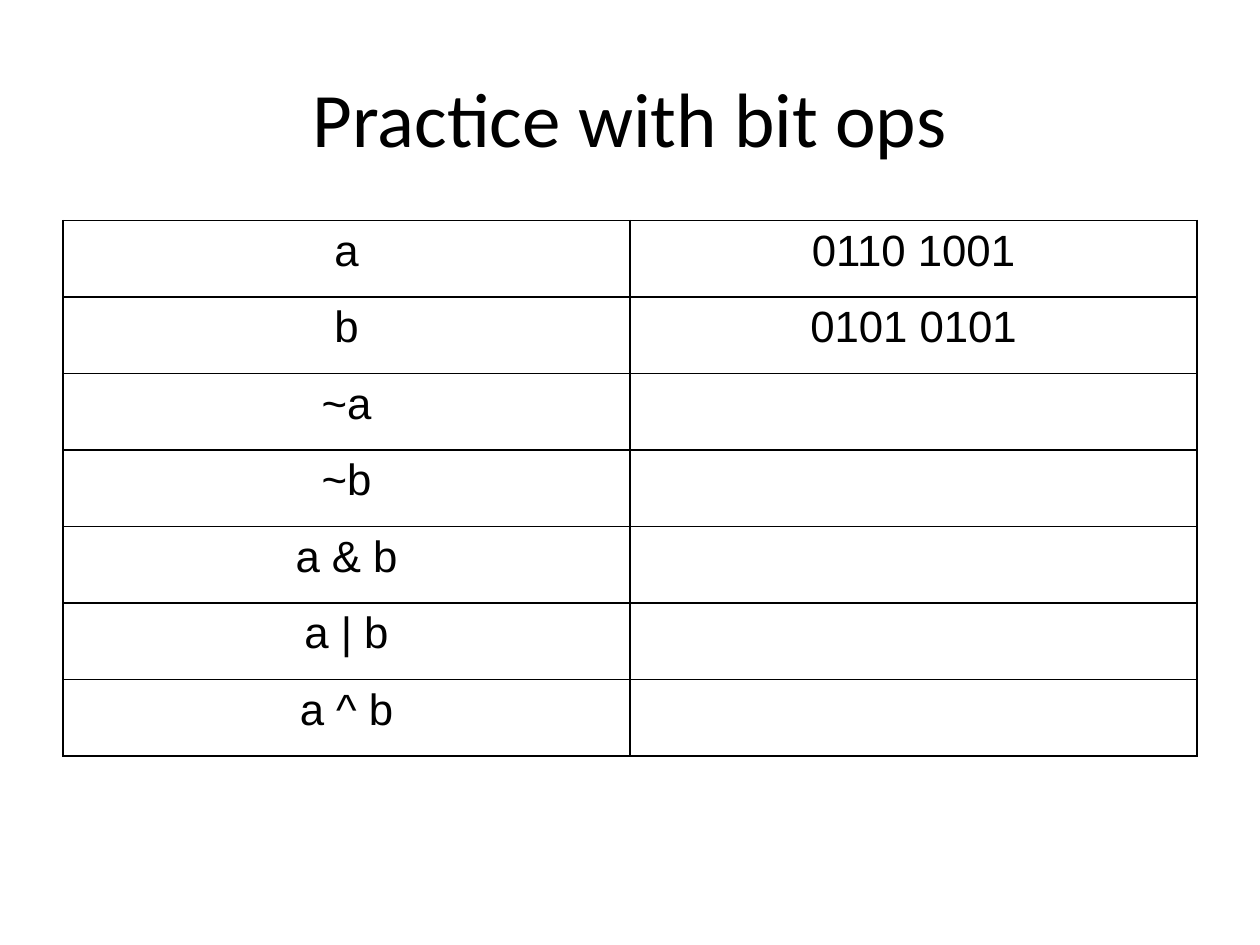
from dataclasses import dataclass

from lxml.etree import SubElement
from pptx import Presentation
from pptx.dml.color import RGBColor
from pptx.enum.text import MSO_ANCHOR, PP_ALIGN
from pptx.oxml.ns import qn
from pptx.util import Inches, Pt


@dataclass(frozen=True)
class Theme:
    """Colours, fonts and sizes of the slide."""
    ink: str = "000000"
    paper: str = "FFFFFF"
    title_font: str = "Calibri"
    title_size: float = 44
    cell_font: str = "Arial"
    cell_size: float = 25
    border: float = 1


THEME = Theme()
OPERATIONS = [
    ("a", "0110 1001"),
    ("b", "0101 0101"),
    ("~a", ""),
    ("~b", ""),
    ("a & b", ""),
    ("a | b", ""),
    ("a ^ b", ""),
]


def write(frame, words, font, size):
    """Write one centred run into a text frame."""
    paragraph = frame.paragraphs[0]
    paragraph.alignment = PP_ALIGN.CENTER
    if not words:
        paragraph.font.size = Pt(size)
        return
    run = paragraph.add_run()
    run.text = words
    run.font.name = font
    run.font.size = Pt(size)
    run.font.color.rgb = RGBColor.from_string(THEME.ink)


def outline(cell):
    """Draw the four borders of a cell, ahead of its fill."""
    properties = cell._tc.get_or_add_tcPr()
    for side in ("a:lnL", "a:lnR", "a:lnT", "a:lnB"):
        line = SubElement(properties, qn(side), w=str(Pt(THEME.border)))
        ink = SubElement(line, qn("a:solidFill"))
        SubElement(ink, qn("a:srgbClr"), val=THEME.ink)


def place_title(slide, words, left, top, width, height):
    """Move the title placeholder into its box and fill it."""
    title = slide.shapes.title
    title.left, title.top = Inches(left), Inches(top)
    title.width, title.height = Inches(width), Inches(height)
    title.text_frame.vertical_anchor = MSO_ANCHOR.MIDDLE
    write(title.text_frame, words, THEME.title_font, THEME.title_size)


def place_operations(slide, rows, left, top, width, height):
    """Build the table of bit operations with equal rows and columns."""
    table = slide.shapes.add_table(
        len(rows), len(rows[0]),
        Inches(left), Inches(top), Inches(width), Inches(height)).table
    table.first_row = table.horz_banding = False
    for row, values in zip(table.rows, rows):
        row.height = Inches(height / len(rows))
        for cell, value in zip(row.cells, values):
            cell.margin_left = cell.margin_right = Inches(0.13)
            cell.margin_top = cell.margin_bottom = Inches(0.05)
            outline(cell)
            cell.fill.background()
            write(cell.text_frame, value, THEME.cell_font, THEME.cell_size)


def build():
    """Build the slide and save it."""
    deck = Presentation()
    deck.slide_width, deck.slide_height = Inches(10), Inches(7.5)
    slide = deck.slides.add_slide(deck.slide_layouts[5])
    slide.background.fill.solid()
    slide.background.fill.fore_color.rgb = RGBColor.from_string(THEME.paper)
    place_title(slide, "Practice with bit ops", 0.5, 0.3, 9, 1.25)
    place_operations(slide, OPERATIONS, 0.5, 1.75, 9, 4.25)
    deck.save("out.pptx")


build()
